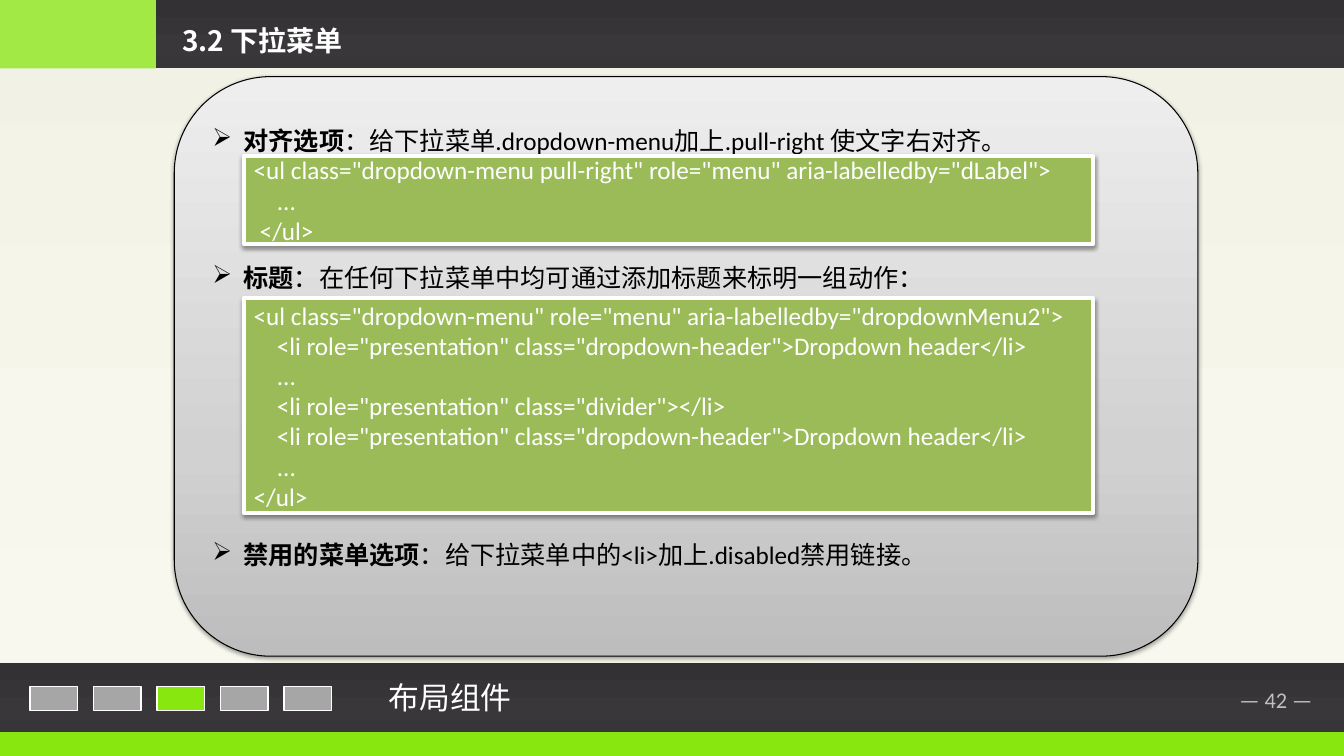
from dataclasses import dataclass

import pptx
import pptx.dml.color
import pptx.enum.shapes
import pptx.enum.text
import pptx.oxml.ns
import pptx.util
from lxml import etree
from pptx.oxml.ns import qn

EMU_PER_PX = 9144  # 100 px to the inch
SHAPES = pptx.enum.shapes.MSO_SHAPE
ANCHOR = pptx.enum.text.MSO_ANCHOR
ALIGN = pptx.enum.text.PP_ALIGN


@dataclass(frozen=True)
class Gradient:
    stops: tuple[tuple[int, str], ...]
    angle: int  # degrees, counter-clockwise


@dataclass(frozen=True)
class Theme:
    latin: str = "Calibri"
    cjk: str = "Noto Sans CJK SC"
    white: str = "FFFFFF"
    black: str = "000000"
    green: str = "88E70F"
    grey: str = "A6A6A6"
    code_fill: str = "9BBB59"
    page_number: str = "BFBFBF"
    page: Gradient = Gradient(
        ((0, "F1F1E5"), (74, "F7F7ED"), (83, "F8F8EE"), (100, "F9F9EF")), 270)
    band: Gradient = Gradient(
        ((0, "333134"), (74, "39373A"), (83, "373538"), (100, "363436")), 270)
    panel: Gradient = Gradient(((0, "BDBDBD"), (35, "D1D1D1"), (100, "EEEEEE")), 90)
    body_size: int = 18
    title_size: int = 20
    footer_size: int = 22
    number_size: int = 16


THEME = Theme()


@dataclass(frozen=True)
class Box:
    left: int
    top: int
    width: int
    height: int

    def emu(self) -> tuple[int, ...]:
        return tuple(v * EMU_PER_PX for v in (self.left, self.top, self.width, self.height))


@dataclass(frozen=True)
class Block:
    box: Box
    fill: str | Gradient
    outline: str | None = None
    outline_width: float = 0
    preset: SHAPES = SHAPES.RECTANGLE
    opacity: int = 100
    shadow: bool = False


@dataclass(frozen=True)
class Topic:
    term: str
    detail: str
    space_before: int  # points


@dataclass(frozen=True)
class CodeLine:
    text: str
    indent: int = 0  # px


@dataclass(frozen=True)
class CodeBlock:
    box: Box
    lines: tuple[CodeLine, ...]


BANDS = (
    Block(Box(0, 0, 1334, 658), THEME.page),
    Block(Box(0, 726, 1334, 24), THEME.green),
    Block(Box(0, 658, 1334, 68), THEME.band),
    Block(Box(0, 0, 155, 68), THEME.green, opacity=74),
    Block(Box(155, 0, 1179, 68), THEME.band),
)
MARKER_COUNT, CURRENT_MARKER, MARKER_PITCH = 5, 2, 63
PANEL = Block(Box(173, 76, 1016, 575), THEME.panel, THEME.black, 0.75,
              SHAPES.FLOWCHART_ALTERNATE_PROCESS, shadow=True)
TOPICS = (
    Topic("对齐选项", "：给下拉菜单.dropdown-menu加上.pull-right 使文字右对齐。", 0),
    Topic("标题", "：在任何下拉菜单中均可通过添加标题来标明一组动作：", 66),
    Topic("禁用的菜单选项", "：给下拉菜单中的<li>加上.disabled禁用链接。", 165),
)
HEADER_ITEM = CodeLine(
    '<li role="presentation" class="dropdown-header">Dropdown header</li>', 23)
ELLIPSIS = CodeLine("...", 23)
CODE_BLOCKS = (
    CodeBlock(Box(242, 155, 843, 87), (
        CodeLine('<ul class="dropdown-menu pull-right" role="menu" aria-labelledby="dLabel">'),
        ELLIPSIS,
        CodeLine("</ul>", 6),
    )),
    CodeBlock(Box(242, 296, 843, 213), (
        CodeLine('<ul class="dropdown-menu" role="menu" aria-labelledby="dropdownMenu2">'),
        HEADER_ITEM,
        ELLIPSIS,
        CodeLine('<li role="presentation" class="divider"></li>', 23),
        HEADER_ITEM,
        ELLIPSIS,
        CodeLine("</ul>"),
    )),
)


def rgb(color: str) -> pptx.dml.color.RGBColor:
    return pptx.dml.color.RGBColor.from_string(color)


def add_color(parent, color: str, opacity: int = 100) -> None:
    element = etree.SubElement(parent, qn("a:srgbClr"), val=color)
    if opacity < 100:
        etree.SubElement(element, qn("a:alpha"), val=str(opacity * 1000))


def fill_gradient(shape, gradient: Gradient) -> None:
    shape.fill.gradient()
    shape.fill.gradient_angle = gradient.angle
    stop_list = shape._element.spPr.find(qn("a:gradFill")).find(qn("a:gsLst"))
    for stop in list(stop_list):
        stop_list.remove(stop)
    for position, color in gradient.stops:
        add_color(etree.SubElement(stop_list, qn("a:gs"), pos=str(position * 1000)), color)


def add_block(slide, block: Block):
    shape = slide.shapes.add_shape(block.preset, *block.box.emu())
    if isinstance(block.fill, Gradient):
        fill_gradient(shape, block.fill)
    else:
        shape.fill.solid()
        shape.fill.fore_color.rgb = rgb(block.fill)
        if block.opacity < 100:
            solid = shape._element.spPr.find(qn("a:solidFill"))
            solid.remove(solid[0])
            add_color(solid, block.fill, block.opacity)
    if block.outline:
        shape.line.color.rgb = rgb(block.outline)
        shape.line.width = pptx.util.Pt(block.outline_width)
    else:
        shape.line.fill.background()
    shape.shadow.inherit = False
    if block.shadow:
        effects = shape._element.spPr.find(qn("a:effectLst"))
        outer = etree.SubElement(effects, qn("a:outerShdw"), blurRad="39370", dist="20320",
                                 dir="5400000", rotWithShape="0")
        add_color(outer, THEME.black, 38)
    return shape


def format_paragraph(paragraph, size: int, color: str, latin: str = THEME.latin,
                     align: ALIGN = ALIGN.LEFT, indent: int = 0, hanging: int = 0) -> None:
    paragraph.alignment = align
    paragraph.font.size = pptx.util.Pt(size)
    paragraph.font.color.rgb = rgb(color)
    paragraph.font.name = latin
    properties = paragraph._p.get_or_add_pPr()
    properties.set("marL", str(indent * EMU_PER_PX))
    properties.set("indent", str(-hanging * EMU_PER_PX))
    etree.SubElement(properties.find(qn("a:defRPr")), qn("a:ea"), typeface=THEME.cjk)


def set_line(shape, text: str, size: int, color: str, latin: str,
             align: ALIGN = ALIGN.LEFT, wrap: bool = True) -> None:
    """Fill a shape with one vertically centred line."""
    frame = shape.text_frame
    frame.text = text
    frame.word_wrap = wrap
    frame.auto_size = pptx.enum.text.MSO_AUTO_SIZE.NONE
    frame.vertical_anchor = ANCHOR.MIDDLE
    format_paragraph(frame.paragraphs[0], size, color, latin, align)


def add_title(slide, text: str, box: Box) -> None:
    title = slide.shapes.title
    title.left, title.top, title.width, title.height = box.emu()
    set_line(title, text, THEME.title_size, THEME.white, THEME.cjk)
    title.text_frame.paragraphs[0].font.bold = True
    slide.shapes._spTree.append(title._element)  # in front of the header band


def paragraph_at(frame, index: int):
    return frame.add_paragraph() if index else frame.paragraphs[0]


def add_topics(slide) -> None:
    frame = add_block(slide, PANEL).text_frame
    frame.vertical_anchor = ANCHOR.TOP
    for index, topic in enumerate(TOPICS):
        paragraph = paragraph_at(frame, index)
        format_paragraph(paragraph, THEME.body_size, THEME.black, indent=31, hanging=31)
        paragraph.line_spacing = 1.5
        paragraph.space_before = pptx.util.Pt(topic.space_before)
        bullet = etree.Element(qn("a:buChar"), char="➢")
        paragraph._p.pPr.find(qn("a:defRPr")).addprevious(bullet)
        term = paragraph.add_run()
        term.text = topic.term
        term.font.bold = True
        paragraph.add_run().text = topic.detail


def add_code(slide, code: CodeBlock) -> None:
    frame = add_block(slide, Block(code.box, THEME.code_fill, THEME.white, 3,
                                   shadow=True)).text_frame
    for index, line in enumerate(code.lines):
        paragraph = paragraph_at(frame, index)
        paragraph.text = line.text
        format_paragraph(paragraph, THEME.body_size, THEME.white, indent=line.indent)


def main() -> None:
    presentation = pptx.Presentation()
    presentation.slide_width = 1334 * EMU_PER_PX
    presentation.slide_height = 750 * EMU_PER_PX
    slide = presentation.slides.add_slide(presentation.slide_layouts.get_by_name("Title Only"))
    for band in BANDS:
        add_block(slide, band)
    for index in range(MARKER_COUNT):
        color = THEME.green if index == CURRENT_MARKER else THEME.grey
        box = Box(30 + index * MARKER_PITCH, 681, 47, 24)
        add_block(slide, Block(box, color, THEME.white, 1.2))
    add_title(slide, "3.2 下拉菜单", Box(171, 18, 409, 44))
    chapter = slide.shapes.add_textbox(*Box(376, 668, 427, 47).emu())
    set_line(chapter, "布局组件", THEME.footer_size, THEME.white, THEME.cjk)
    number = slide.shapes.add_textbox(*Box(1213, 676, 107, 37).emu())
    set_line(number, "— 42 —", THEME.number_size, THEME.page_number, THEME.latin,
             ALIGN.CENTER, wrap=False)
    add_topics(slide)
    for code in CODE_BLOCKS:
        add_code(slide, code)
    presentation.save("out.pptx")


if __name__ == "__main__":
    main()
